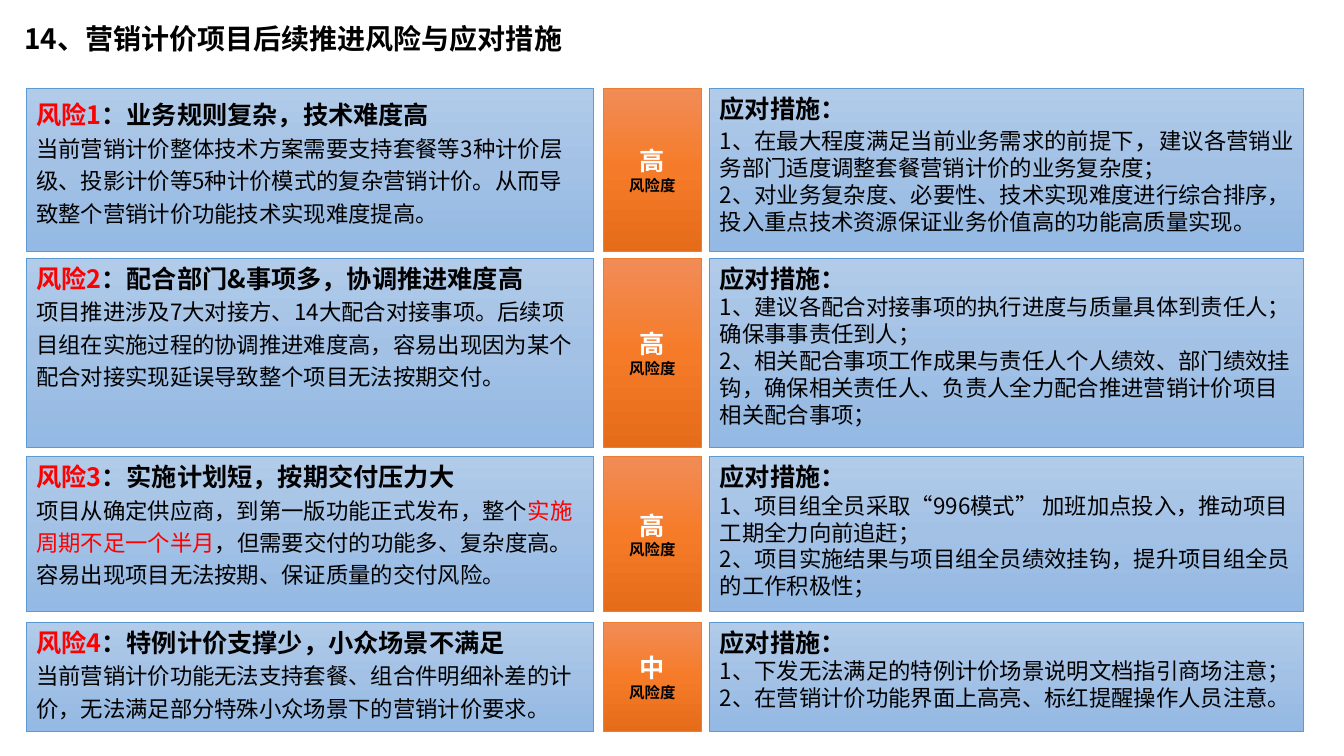
from copy import deepcopy

from pptx import Presentation
from pptx.dml.color import RGBColor
from pptx.enum.shapes import MSO_SHAPE as Shape
from pptx.enum.text import MSO_ANCHOR as Anchor, MSO_AUTO_SIZE as AutoSize, PP_ALIGN as Align
from pptx.oxml.ns import qn
from pptx.util import Inches, Pt

FONT = "Noto Sans CJK SC"
BLACK, WHITE, RED = "000000", "FFFFFF", "FF0000"
BLUE = (("B1CBE9", "A3C1E5", "93B9E4"), "5B9BD5")
ORANGE = (("F18C57", "F67B28", "E56C19"), "ED7D31")
HEADING, BODY, CAPTION = 18, 16, 11

COLUMNS = {"risk": (0.26, 5.63), "level": (5.98, 0.98), "measures": (7.04, 5.89)}
ROWS = ((0.88, 1.61), (2.56, 1.88), (4.53, 1.54), (6.17, 1.09))

RISKS = (
    (
        "业务规则复杂，技术难度高", 1.2, "高",
        [("当前营销计价整体技术方案需要支持套餐等3种计价层级、投影计价等5种计价模式的复杂营销计价。"
          "从而导致整个营销计价功能技术实现难度提高。",)],
        [[("1、在最大程度满足当前业务需求的前提下",), ("，", HEADING),
          ("建议各营销业务部门适度调整套餐营销计价的业务复杂度；",)],
         [("2、对业务复杂度、必要性、技术实现难度进行综合排序，"
           "投入重点技术资源保证业务价值高的功能高质量实现。",)]],
    ),
    (
        "配合部门&事项多，协调推进难度高", None, "高",
        [("项目推进涉及7大对接方、14大配合对接事项。后续项目组在实施过程的协调推进难度高，"
          "容易出现因为某个配合对接实现延误导致整个项目无法按期交付。",)],
        [[("1、建议各配合对接事项的执行进度与质量具体到责任人；确保事事责任到人；",)],
         [("2、相关配合事项工作成果与责任人个人绩效、部门绩效挂钩，"
           "确保相关责任人、负责人全力配合推进营销计价项目相关配合事项；",)]],
    ),
    (
        "实施计划短，按期交付压力大", None, "高",
        [("项目从确定供应商，到第一版功能正式发布，整个",), ("实施周期不足一个半月", BODY, RED),
         ("，但需要交付的功能多、复杂度高。容易出现项目无法按期、保证质量的交付风险。",)],
        [[("1、项目组全员采取“996模式” 加班加点投入，推动项目工期全力向前追赶；",)],
         [("2、项目实施结果与项目组全员绩效挂钩，提升项目组全员的工作积极性；",)]],
    ),
    (
        "特例计价支撑少，小众场景不满足", None, "中",
        [("当前营销计价功能无法支持套餐、组合件明细补差的计价，"
          "无法满足部分特殊小众场景下的营销计价要求。",)],
        [[("1、下发无法满足的特例计价场景说明文档指引商场注意；",)],
         [("2、在营销计价功能界面上高亮、标红提醒操作人员注意。",)]],
    ),
)


def colour(value):
    return RGBColor.from_string(value)


class RiskSlide:
    def __init__(self, deck):
        self.slide = deck.slides.add_slide(deck.slide_layouts[6])

    def add_span(self, para, text, size=BODY, shade=BLACK, bold=False):
        span = para.add_run()
        span.text = text
        span.font.size = Pt(size)
        span.font.bold = bold
        span.font.name = FONT
        span.font.color.rgb = colour(shade)
        latin = span._r.rPr.find(qn("a:latin"))
        east_asian = deepcopy(latin)
        east_asian.tag = qn("a:ea")
        latin.addnext(east_asian)

    def add_text(self, frame, paragraphs, align=Align.LEFT):
        for index, (spans, spacing) in enumerate(paragraphs):
            para = frame.add_paragraph() if index else frame.paragraphs[0]
            para.alignment = align
            if spacing:
                para.line_spacing = spacing
            for span in spans:
                self.add_span(para, *span)

    def title(self, text):
        box = self.slide.shapes.add_textbox(Inches(0.14), Inches(0.16), Inches(12.91), Inches(0.44))
        box.text_frame.word_wrap = True
        box.text_frame.auto_size = AutoSize.SHAPE_TO_FIT_TEXT
        self.add_text(box.text_frame, [([(text, 20, BLACK, True)], None)])

    def panel(self, column, row, style, paragraphs, anchor=Anchor.TOP, align=Align.LEFT):
        (left, width), (top, height) = COLUMNS[column], ROWS[row]
        box = self.slide.shapes.add_shape(
            Shape.RECTANGLE, Inches(left), Inches(top), Inches(width), Inches(height))
        box.shadow.inherit = False
        shades, outline = style
        self.gradient(box, shades)
        box.line.color.rgb = colour(outline)
        box.line.width = Pt(0.5)
        box.text_frame.word_wrap = True
        box.text_frame.vertical_anchor = anchor
        self.add_text(box.text_frame, paragraphs, align)

    def gradient(self, box, shades):
        box.fill.gradient()
        box.fill.gradient_angle = 270
        first = box._element.spPr.find(".//" + qn("a:gs"))
        middle = deepcopy(first)
        middle.set("pos", "50000")
        first.addnext(middle)
        for stop, shade in zip(box.fill.gradient_stops, shades):
            stop.color.rgb = colour(shade)

    def risk(self, row, heading, heading_spacing, level, description, measures):
        self.panel("risk", row, BLUE, [
            ([(f"风险{row + 1}", HEADING, RED, True), (f"：{heading}", HEADING, BLACK, True)],
             heading_spacing),
            (description, 1.2),
        ])
        self.panel("level", row, ORANGE, [
            ([(level, HEADING, WHITE, True)], None),
            ([("风险度", CAPTION, BLACK, True)], None),
        ], Anchor.MIDDLE, Align.CENTER)
        self.panel("measures", row, BLUE, [
            ([("应对措施：", HEADING, BLACK, True)], None),
            *((measure, None) for measure in measures),
        ])


def main():
    deck = Presentation()
    deck.slide_width, deck.slide_height = Inches(13.33), Inches(7.5)
    page = RiskSlide(deck)
    page.title("14、营销计价项目后续推进风险与应对措施")
    for row, risk in enumerate(RISKS):
        page.risk(row, *risk)
    deck.save("out.pptx")


if __name__ == "__main__":
    main()
